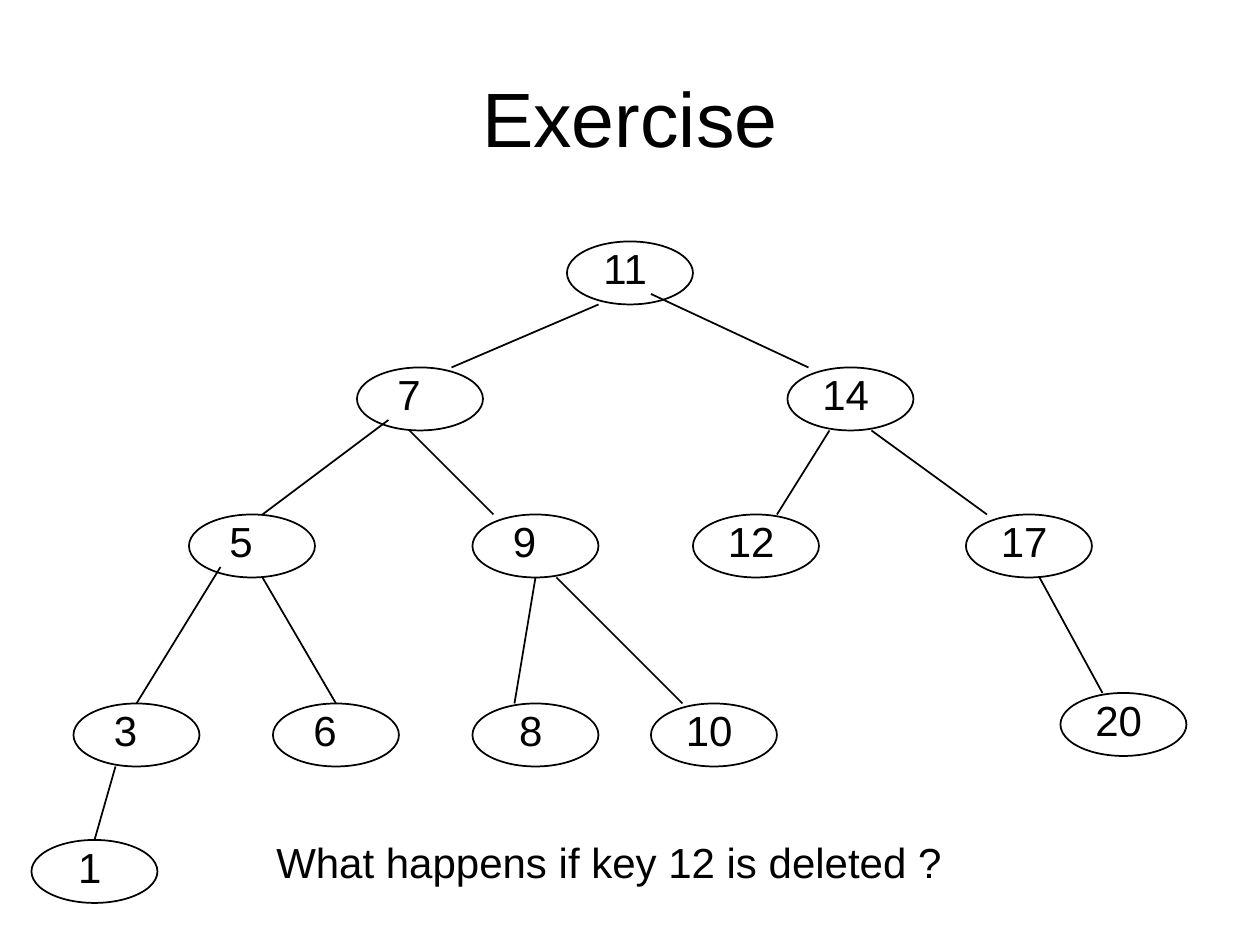
from pptx import Presentation
from pptx.dml.color import RGBColor
from pptx.enum.shapes import MSO_CONNECTOR, MSO_SHAPE
from pptx.enum.text import MSO_ANCHOR, MSO_AUTO_SIZE, PP_ALIGN
from pptx.oxml.ns import qn
from pptx.util import Inches, Pt

COLORS = {"ink": "000000", "paper": "FFFFFF"}
FONT = "Arial"
UNIT = Inches(1) // 12  # the slide is a grid of 120 columns by 90 rows
NODE_W, NODE_H = 12, 6
LABEL_W = 8

# key: (column, row, column of the label's centre within the node)
NODES = {
    11: (51, 0, 5.55),
    7: (31, 12, 4.95), 14: (72, 12, 5.55),
    5: (15, 26, 4.95), 12: (63, 26, 5.55), 9: (42, 26, 4.95), 17: (89, 26, 5.55),
    3: (4, 44, 4.95), 8: (42, 44, 5.55), 6: (23, 44, 4.95), 10: (59, 44, 5.55),
    20: (98, 43, 5.55),
    1: (0, 57, 5.55),
}

# parent, child, start within the parent (column, row), end column on the child's top
BRANCHES = [
    (11, 7, (3, 6), 9), (11, 14, (8, 5), 2),
    (7, 5, (3, 5), 7), (7, 9, (5, 6), 2),
    (5, 3, (3, 5), 6), (5, 6, (7, 6), 6),
    (3, 1, (4, 6), 6),
    (9, 8, (6, 6), 4), (9, 10, (8, 6), 3),
    (14, 12, (4, 6), 8), (14, 17, (8, 6), 2),
    (17, 20, (7, 6), 4),
]


def color(name):
    return RGBColor.from_string(COLORS[name])


def grid(*cells):
    return [round(cell * UNIT) for cell in cells]


def write(frame, words, size):
    paragraph = frame.paragraphs[0]
    paragraph.alignment = PP_ALIGN.CENTER
    run = paragraph.add_run()
    run.text = words
    run.font.name = FONT
    run.font.size = Pt(size)
    run.font.color.rgb = color("ink")


def add_title(slide, box, words):
    title = slide.shapes.title
    title.left, title.top, title.width, title.height = grid(*box)
    title.text_frame.vertical_anchor = MSO_ANCHOR.MIDDLE
    write(title.text_frame, words, 44)


def add_caption(slide, box, words):
    frame = slide.shapes.add_textbox(*grid(*box)).text_frame
    frame.word_wrap = False
    frame.auto_size = MSO_AUTO_SIZE.SHAPE_TO_FIT_TEXT
    write(frame, words, 24)


def add_node(slide, left, top, key, label_center):
    oval = slide.shapes.add_shape(MSO_SHAPE.OVAL, *grid(left, top, NODE_W, NODE_H))
    oval.shadow.inherit = False
    oval.fill.background()
    oval.line.color.rgb = color("ink")
    oval.line.width = Pt(1)
    label_left = left + label_center - LABEL_W / 2
    add_caption(slide, (label_left, top - 0.48, LABEL_W, NODE_H), str(key))


def add_branch(slide, start, end):
    branch = slide.shapes.add_connector(
        MSO_CONNECTOR.STRAIGHT, *grid(*start), *grid(*end))
    branch.line.color.rgb = color("ink")
    branch.line.width = Pt(1)
    properties = branch._element.spPr
    properties.append(properties.makeelement(qn("a:effectLst"), {}))


def add_tree(slide, left, top):
    """Draw the search tree with its upper left corner at the given cell."""
    corners = {key: (left + column, top + row)
               for key, (column, row, _) in NODES.items()}
    for key, (_, _, label_center) in NODES.items():
        add_node(slide, *corners[key], key, label_center)
    for parent, child, (column, row), end_column in BRANCHES:
        parent_left, parent_top = corners[parent]
        child_left, child_top = corners[child]
        add_branch(slide, (parent_left + column, parent_top + row),
                   (child_left + end_column, child_top))


def main():
    deck = Presentation()
    deck.slide_width, deck.slide_height = grid(120, 90)
    slide = deck.slides.add_slide(deck.slide_layouts[5])
    slide.background.fill.solid()
    slide.background.fill.fore_color.rgb = color("paper")
    add_title(slide, (6, 3.6, 108, 15), "Exercise")
    add_tree(slide, 3, 23)
    add_caption(slide, (25, 79.1, 66, 6), "What happens if key 12 is deleted ?")
    deck.save("out.pptx")


if __name__ == "__main__":
    main()
